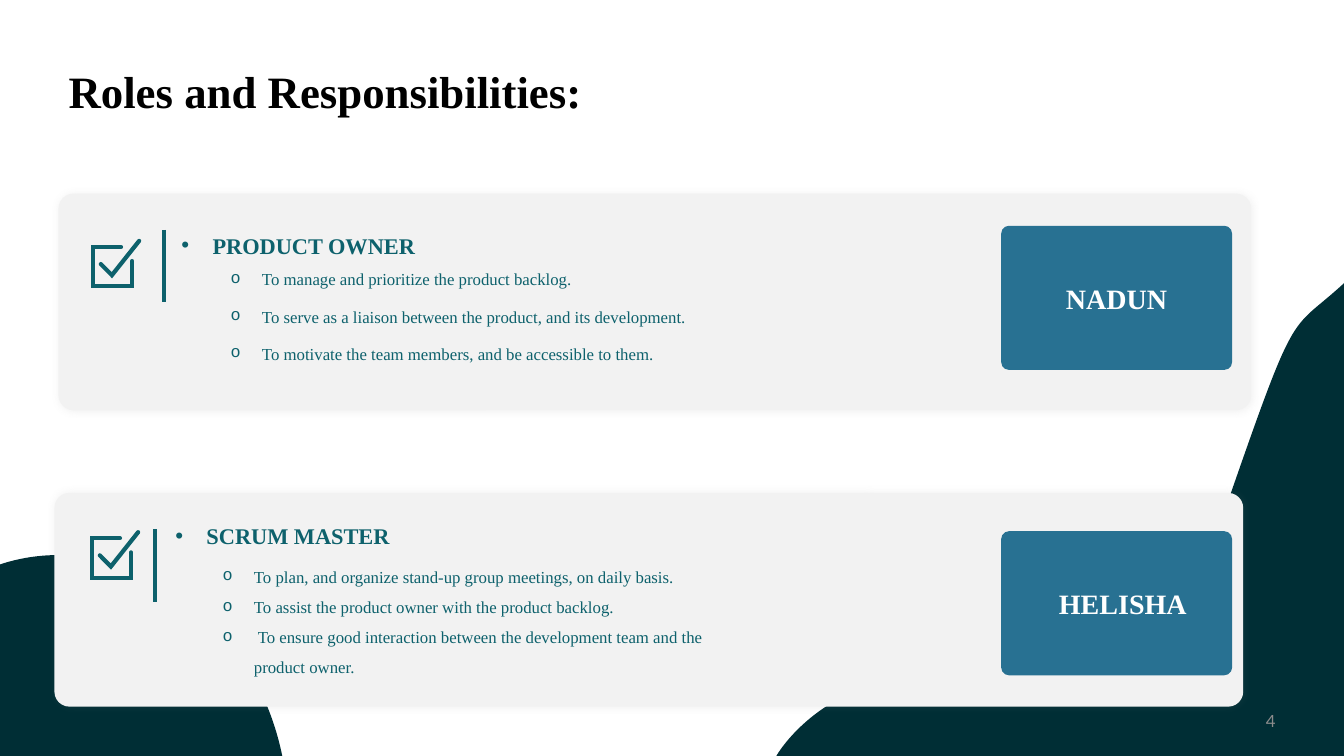
from lxml import etree
from pptx import Presentation
from pptx import util as u
from pptx.dml.color import RGBColor
from pptx.enum import shapes, text
from pptx.oxml import ns

HUES = {"dark": "002E35", "teal": "0D616C", "card": "F2F2F2", "tag": "287192",
        "white": "FFFFFF", "black": "000000", "grey": "8C8C8C", "shade": "808080"}
SERIF = "Times New Roman"
ROLES = [
    {"box": (0.58, 1.92, 11.83, 2.15), "role": "PRODUCT OWNER", "name": "NADUN",
     "tag": (9.35, 0.32), "pad": 0.62, "icon": (0.34, 0.47), "bar": 1.05,
     "head": (1.12, 0.33, 6), "step": 0.49, "lead": 1.15, "after": 10,
     "tasks": ["To manage and prioritize the product backlog.",
               "To serve as a liaison between the product, and its development.",
               "To motivate the team members, and be accessible to them."]},
    {"box": (0.54, 4.89, 11.79, 2.12), "role": "SCRUM MASTER", "name": "HELISHA",
     "tag": (9.39, 0.38), "pad": 0.55, "icon": (0.37, 0.39), "bar": 1,
     "head": (1.1, 0.24, 5.56), "step": 0.47, "lead": 1.5, "after": 0,
     "tasks": ["To plan, and organize stand-up group meetings, on daily basis.",
               "To assist the product owner with the product backlog.",
               " To ensure good interaction between the development team and the product owner."]},
]


def color(key):
    """Return the named colour."""
    return RGBColor.from_string(HUES[key])


def place(box):
    """Turn a box in inches into lengths."""
    return [u.Inches(v) for v in box]


def node(parent, tag, **attrs):
    """Append a DrawingML element."""
    return etree.SubElement(parent, ns.qn(tag), attrs)


def write(shape, lines, size, hue, font=SERIF, bold=False, align=text.PP_ALIGN.LEFT,
          mark=None, face="Arial", lead=None, after=None, anchor=text.MSO_ANCHOR.TOP):
    """Fill a shape with formatted paragraphs."""
    frame = shape.text_frame
    frame.word_wrap = True
    frame.vertical_anchor = anchor
    for i, line in enumerate(lines):
        para = frame.add_paragraph() if i else frame.paragraphs[0]
        if mark:
            props = para._p.get_or_add_pPr()
            props.set("marL", str(u.Inches(0.31)))
            props.set("indent", str(u.Inches(-0.31)))
            node(props, "a:buFont", typeface=face)
            node(props, "a:buChar", char=mark)
        para.alignment = align
        if lead:
            para.line_spacing = lead
        if after is not None:
            para.space_after = u.Pt(after)
        run = para.add_run()
        run.text = line
        run.font.name, run.font.size, run.font.bold = font, u.Pt(size), bold
        run.font.color.rgb = color(hue)


def label(slide, box, lines, **fmt):
    """Add a text box."""
    write(slide.shapes.add_textbox(*place(box)), lines, **fmt)


def panel(slide, box, hue, round):
    """Add a filled rounded box."""
    shape = slide.shapes.add_shape(shapes.MSO_SHAPE.ROUNDED_RECTANGLE, *place(box))
    shape.adjustments[0] = round
    shape.shadow.inherit = False
    shape.fill.solid()
    shape.fill.fore_color.rgb = color(hue)
    shape.line.fill.background()
    return shape


def trace(slide, points, closed=False):
    """Draw an outline through points given in inches."""
    spots = [tuple(place(p)) for p in points]
    pen = slide.shapes.build_freeform(*spots[0], scale=1)
    pen.add_line_segments(spots[1:], close=closed)
    shape = pen.convert_to_shape()
    shape.shadow.inherit = False
    return shape


def bend(shape, count):
    """Turn the first lines, three at a time, into cubic curves."""
    lines = list(shape._element.iter(ns.qn("a:lnTo")))
    for i in range(0, 3 * count, 3):
        arc = etree.Element(ns.qn("a:cubicBezTo"))
        lines[i].addprevious(arc)
        for line in lines[i:i + 3]:
            arc.append(line[0])
            line.getparent().remove(line)


def stroke(shape):
    """Give a shape the teal line."""
    shape.line.color.rgb = color("teal")
    shape.line.width = u.Pt(3)


def blobs(slide):
    """Draw the dark corner shapes."""
    left = [(0.03, 5.59), (0.6, 5.41), (1.25, 5.53), (1.74, 5.86),
            (2.3, 6.23), (2.67, 6.86), (2.8, 7.5), (0, 7.5), (0, 5.6)]
    right = [(7.7, 7.5), (7.7, 7.5), (8.11, 6.76), (9.19, 6.69),
             (10.27, 6.63), (11.6, 6.68), (12.23, 4.83),
             (12.87, 2.99), (12.8, 3.3), (13.33, 2.81), (13.33, 7.5)]
    for points, arcs in ((left, 2), (right, 3)):
        shape = trace(slide, points, closed=True)
        bend(shape, arcs)
        shape.fill.solid()
        shape.fill.fore_color.rgb = color("dark")
        shape.line.fill.background()


def tick(slide, x, y):
    """Draw the ticked box icon."""
    check = [(0.46, 0), (0.19, 0.34), (0.08, 0.23)]
    frame = [(0.39, 0.2), (0.39, 0.45), (0, 0.45), (0, 0.06), (0.28, 0.06)]
    for points in (check, frame):
        shape = trace(slide, [(x + a, y + b) for a, b in points])
        shape.fill.background()
        stroke(shape)
        line = shape.line._get_or_add_ln()
        line.set("cap", "rnd")
        node(line, "a:miter", lim="800000")


def card(slide, box, role, name, tag, pad, icon, bar, head, step, tasks, lead, after):
    """Draw one role card."""
    x, y, w, h = box
    base = panel(slide, box, "card", 0.07)
    glow = node(base._element.spPr.find(ns.qn("a:effectLst")), "a:outerShdw",
                blurRad=str(u.Pt(5)), dist="0", dir="0", algn="ctr", rotWithShape="0")
    node(node(glow, "a:srgbClr", val=HUES["shade"]), "a:alpha", val="10000")

    plate = panel(slide, (x + tag[0], y + tag[1], 2.29, 1.43), "tag", 0.054)
    plate.text_frame.margin_left = u.Inches(pad)
    write(plate, [name], size=20, hue="white", bold=True, anchor=text.MSO_ANCHOR.MIDDLE)

    tick(slide, x + icon[0], y + icon[1])
    rule = slide.shapes.add_connector(
        shapes.MSO_CONNECTOR.STRAIGHT, *place((x + bar, y + 0.36, x + bar, y + 1.08)))
    stroke(rule)
    node(rule._element.spPr, "a:effectLst")

    left, top, wide = x + head[0], y + head[1], head[2]
    label(slide, (left, top, wide, 0.37), [role], size=16, hue="teal", bold=True, mark="•")
    label(slide, (left + step, top + 0.34, wide - step, 1.28), tasks, size=12, hue="teal",
          mark="o", face="Courier New", lead=lead, after=after)


def main():
    """Build and save the slide."""
    deck = Presentation()
    deck.slide_width, deck.slide_height = place((13.33, 7.5))
    slide = deck.slides.add_slide(deck.slide_layouts[5])
    blobs(slide)
    title = slide.shapes.title
    title.left, title.top, title.width, title.height = place((0.58, 0.4, 12.18, 1.06))
    write(title, ["Roles and Responsibilities:"], size=32, hue="black", bold=True, lead=0.9,
          anchor=text.MSO_ANCHOR.MIDDLE)
    label(slide, (12.3, 6.95, 0.45, 0.4), ["4"], size=12, hue="grey", font="Lato",
          align=text.PP_ALIGN.RIGHT, anchor=text.MSO_ANCHOR.MIDDLE)
    for part in ROLES:
        card(slide, **part)
    deck.save("out.pptx")


if __name__ == "__main__":
    main()
